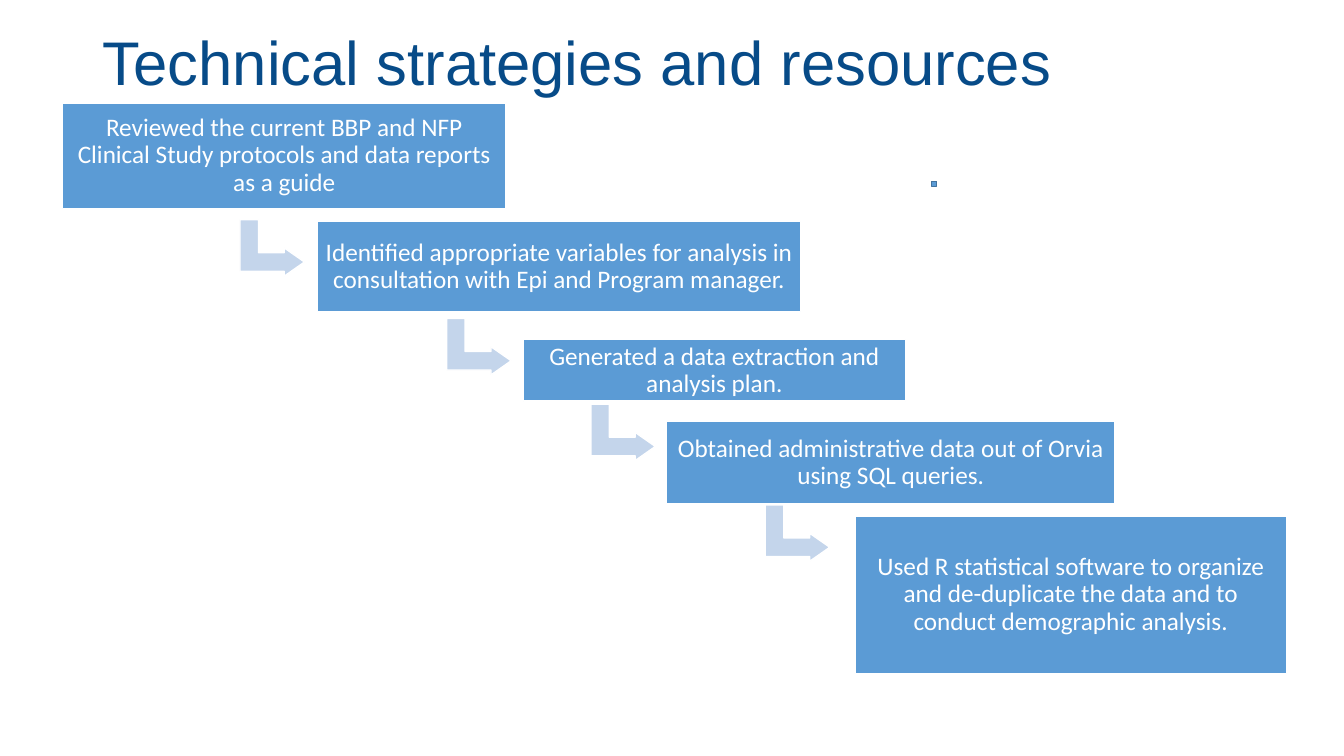
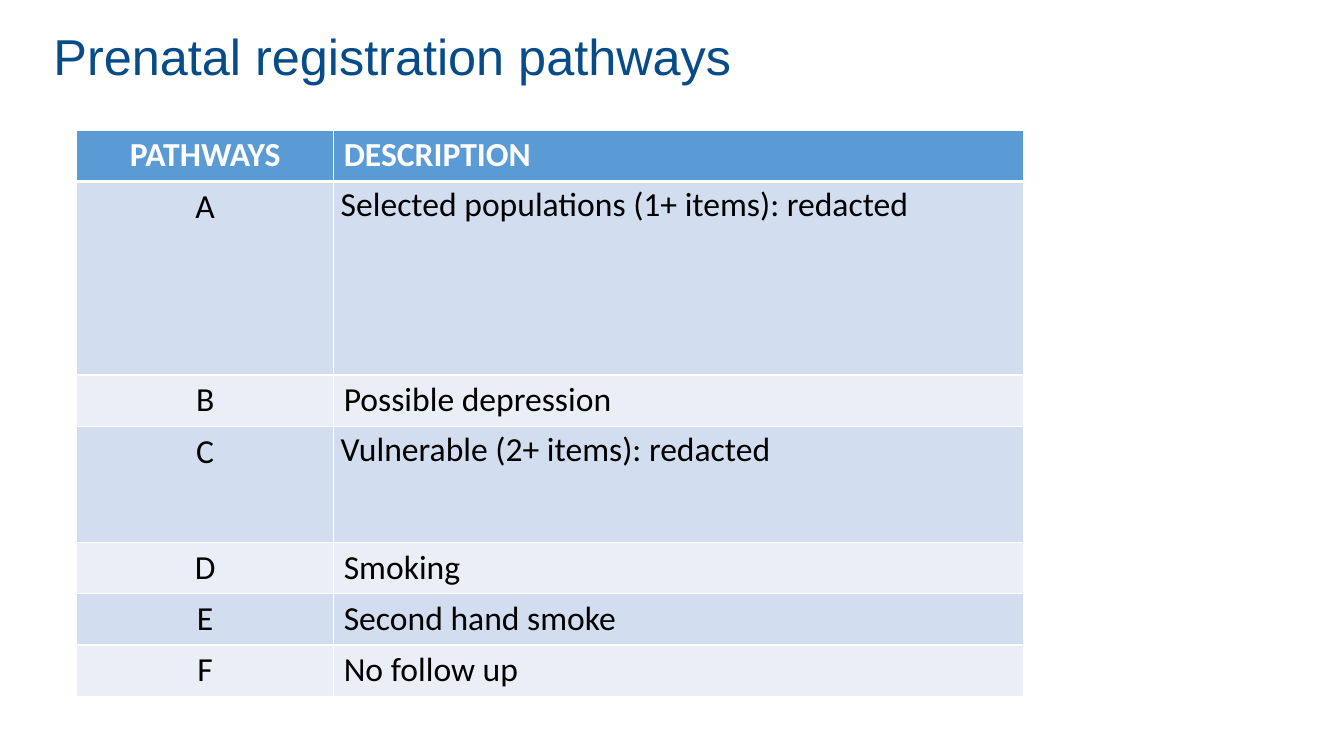
from dataclasses import dataclass

from lxml import etree
from pptx import Presentation
from pptx.dml.color import RGBColor
from pptx.enum.shapes import MSO_SHAPE as Shape
from pptx.enum.text import MSO_ANCHOR as Anchor, MSO_AUTO_SIZE as AutoSize, PP_ALIGN as Align
from pptx.oxml.ns import qn
from pptx.util import Inches, Pt


@dataclass(frozen=True)
class Theme:
    """Colours, fonts and type sizes of the deck."""
    title: str = "074B88"
    accent: str = "5B9BD5"
    accent_edge: str = "43739E"
    arrow: str = "C4D5EB"
    white: str = "FFFFFF"
    ink: str = "000000"
    bands: tuple = ("D2DEEF", "EAEFF7")
    title_font: str = "Arial"
    body_font: str = "Calibri"
    step_size: int = 18
    table_size: int = 24


class Deck:
    def __init__(self, theme):
        self.theme = theme
        self.prs = Presentation()
        self.prs.slide_width, self.prs.slide_height = Inches(13.33), Inches(7.5)
        self.slide = None

    def add_slide(self, heading, box, size):
        """Start a slide with a styled title placeholder."""
        self.slide = self.prs.slides.add_slide(self.prs.slide_layouts[5])
        title = self.slide.shapes.title
        title.left, title.top, title.width, title.height = map(Inches, box)
        frame = title.text_frame
        frame.text = heading
        frame.word_wrap = True
        frame.auto_size = AutoSize.NONE
        frame.vertical_anchor = Anchor.MIDDLE
        self.format(frame, self.theme.title_font, size, self.theme.title, spacing=0.9)

    def format(self, frame, font, size, color, align=Align.LEFT, spacing=1.0, bold=False):
        for paragraph in frame.paragraphs:
            paragraph.alignment = align
            paragraph.line_spacing = spacing
            for run in paragraph.runs:
                run.font.name, run.font.size, run.font.bold = font, Pt(size), bold
                run.font.color.rgb = RGBColor.from_string(color)

    def shape(self, kind, box, fill, edge):
        shape = self.slide.shapes.add_shape(kind, *map(Inches, box))
        shape.shadow.inherit = False
        shape.fill.solid()
        shape.fill.fore_color.rgb = RGBColor.from_string(fill)
        shape.line.color.rgb = RGBColor.from_string(edge)
        shape.line.width = Pt(1)
        return shape

    def step(self, wording, box):
        """A filled box holding one step of the process."""
        frame = self.shape(Shape.RECTANGLE, box, self.theme.accent, self.theme.white).text_frame
        frame.text = wording
        frame.word_wrap = True
        frame.vertical_anchor = Anchor.MIDDLE
        frame.margin_left = frame.margin_right = Inches(0.07)
        frame.margin_top = frame.margin_bottom = Inches(0.07)
        self.format(frame, self.theme.body_font, self.theme.step_size, self.theme.white,
                    Align.CENTER, spacing=0.9)

    def turn_arrow(self, left, top):
        """An arrow going down, then right, to the next step."""
        arrow = self.shape(Shape.BENT_UP_ARROW, (left, top, 0.56, 0.64),
                           self.theme.arrow, self.theme.white)
        arrow.rotation = 90
        for index, value in enumerate((0.328, 0.25, 0.358)):
            arrow.adjustments[index] = value

    def table(self, rows, left, top, widths, heights):
        """A table with a header row and banded body; the first column is centred."""
        table = self.slide.shapes.add_table(
            len(rows), len(widths), Inches(left), Inches(top),
            Inches(sum(widths)), Inches(sum(heights))).table
        for column, width in zip(table.columns, widths):
            column.width = Inches(width)
        for row, height in zip(table.rows, heights):
            row.height = Inches(height)
        for r, wordings in enumerate(rows):
            for c, wording in enumerate(wordings):
                self.cell(table.cell(r, c), wording, r, c)
        return table

    def cell(self, cell, wording, row, column):
        header = row == 0
        self.borders(cell, top=3 if row == 1 else 1, bottom=3 if header else 1)
        fill = self.theme.accent if header else self.theme.bands[(row - 1) % 2]
        cell.fill.solid()
        cell.fill.fore_color.rgb = RGBColor.from_string(fill)
        cell.text_frame.text = wording
        self.format(cell.text_frame, self.theme.body_font, self.theme.table_size,
                    self.theme.white if header else self.theme.ink,
                    Align.LEFT if column else Align.CENTER, bold=header)

    def borders(self, cell, top, bottom):
        properties = cell._tc.get_or_add_tcPr()
        for side, width in (("L", 1), ("R", 1), ("T", top), ("B", bottom)):
            line = etree.SubElement(properties, qn(f"a:ln{side}"), w=str(Pt(width)))
            solid = etree.SubElement(line, qn("a:solidFill"))
            etree.SubElement(solid, qn("a:srgbClr"), val=self.theme.white)

    def tighten(self, cell):
        """Narrow the margins of a tall description cell."""
        cell.margin_left = cell.margin_right = Inches(0.07)
        cell.margin_top = cell.margin_bottom = 0
        cell.text_frame.paragraphs[0].line_spacing = 1.07


STEPS = [
    ("Reviewed the current BBP and NFP Clinical Study protocols and data reports as a guide",
     (0.62, 1.02, 4.4, 1.05)),
    ("Identified appropriate variables for analysis in consultation with Epi and Program manager.",
     (3.15, 2.2, 4.79, 0.89)),
    ("Generated a data extraction and analysis plan.", (5.19, 3.37, 3.79, 0.61)),
    ("Obtained administrative data out of Orvia using SQL queries.", (6.61, 4.18, 4.45, 0.82)),
    ("Used R statistical software to organize and de-duplicate the data and to conduct "
     "demographic analysis.", (8.48, 5.12, 4.28, 1.56)),
]
TURNS = [(2.42, 2.14), (4.47, 3.12), (5.9, 3.97), (7.63, 4.97)]

PATHWAYS = [
    ("PATHWAYS", "DESCRIPTION"),
    ("A", "Selected populations (1+ items): redacted"),
    ("B", "Possible depression"),
    ("C", "Vulnerable (2+ items): redacted"),
    ("D", "Smoking"),
    ("E", "Second hand smoke"),
    ("F", "No follow up"),
]
TALL_ROWS = {1: 1.92, 3: 1.15}


def main():
    theme = Theme()
    deck = Deck(theme)

    # Staircase of steps
    deck.add_slide("Technical strategies and resources", (0.92, 0.18, 11.5, 0.95), 44)
    for turn in TURNS:
        deck.turn_arrow(*turn)
    for wording, box in STEPS:
        deck.step(wording, box)
    deck.shape(Shape.FLOWCHART_PROCESS, (9.24, 1.8, 0.05, 0.05), theme.accent, theme.accent_edge)

    # Table of pathways
    deck.add_slide("Prenatal registration pathways", (0.43, 0.21, 12.23, 0.76), 36)
    heights = [TALL_ROWS.get(row, 0.51) for row in range(len(PATHWAYS))]
    pathways = deck.table(PATHWAYS, 0.76, 1.29, (2.55, 6.84), heights)
    for row in TALL_ROWS:
        deck.tighten(pathways.cell(row, 1))

    deck.prs.save("out.pptx")


if __name__ == "__main__":
    main()
